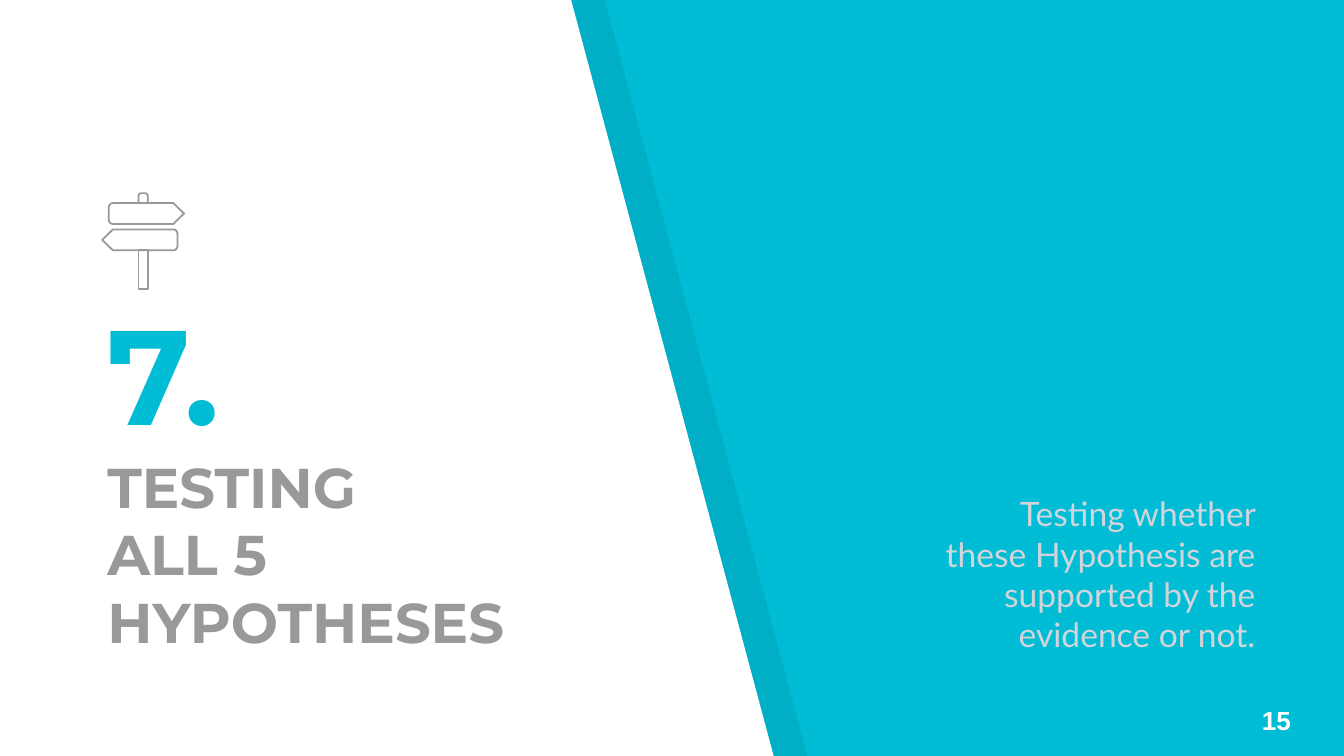
from dataclasses import dataclass
from math import cos, radians, sin

from lxml.etree import SubElement
from pptx import Presentation
from pptx.dml.color import RGBColor as Rgb
from pptx.enum.text import MSO_ANCHOR as Anchor, PP_ALIGN as Align
from pptx.oxml.ns import qn
from pptx.util import Pt

Point = tuple[float, float]


@dataclass(frozen=True)
class Theme:
    cyan: str = "00BCD4"
    white: str = "FFFFFF"
    shade: str = "000000"
    shade_alpha: int = 7
    grey: str = "999999"
    pale: str = "D1D5DB"
    head_font: str = "Montserrat"
    body_font: str = "Lato"
    page_font: str = "Arial"
    number_size: float = 72
    title_size: float = 30
    body_size: float = 18
    page_size: float = 14
    icon_line: float = 0.96


@dataclass(frozen=True)
class Span:
    lines: tuple[str, ...]
    font: str
    size: float
    color: str
    bold: bool = False


@dataclass(frozen=True)
class TextBlock:
    left: float
    top: float
    width: float
    height: float
    spans: tuple[Span, ...]
    inset_y: float = 7.2
    anchor: Anchor = Anchor.BOTTOM
    align: Align = Align.LEFT


@dataclass(frozen=True)
class Outline:
    points: list[Point]
    fill: str | None = None
    alpha: int = 100
    line: str | None = None


THEME = Theme()
WIDTH, HEIGHT = 720, 405

# Slanted panels: the white one, and its shade shifted to the right
BLEED = 1
SHADE_SHIFT = 18
PANEL = [(-BLEED, -BLEED), (-BLEED, HEIGHT + BLEED),
         (414.7, HEIGHT + BLEED), (305.7, -BLEED)]

# Signpost
AXIS = 76.7
POST_HALF = 2.5
CAP_TOP, SIGN_TOP, POST_TOP, POST_BOTTOM = 103.5, 108.8, 134.1, 154.8
SIGN_HEIGHT, SIGN_STEP = 11.2, 14.1
SIGN_BACK, SIGN_SHOULDER, SIGN_TIP = -18.4, 16.2, 21.9
SIGN_RADIUS, CAP_RADIUS = 2.3, 1.6

TEXTS = [
    TextBlock(50.4, 122.4, 277.2, 235.4, (
        Span(("7.", ""), THEME.head_font, THEME.number_size, THEME.cyan, True),
        Span(("TESTING ", "ALL 5 ", "HYPOTHESES"),
             THEME.head_font, THEME.title_size, THEME.grey, True))),
    TextBlock(496.8, 276.5, 182.9, 81.4, (
        Span(("Testing whether these Hypothesis are supported by the evidence or not.",),
             THEME.body_font, THEME.body_size, THEME.pale),), align=Align.RIGHT),
    TextBlock(668.9, 373.7, 61.9, 24.5, (
        Span(("15",), THEME.page_font, THEME.page_size, THEME.white, True),),
        inset_y=3.6, anchor=Anchor.TOP),
]


def arc(x: float, y: float, radius: float, start: int) -> list[Point]:
    """Quarter turn around (x, y), clockwise on the page."""
    angles = [radians(start + step) for step in range(0, 91, 15)]
    return [(x + radius * cos(a), y + radius * sin(a)) for a in angles]


def sign(top: float, direction: int) -> list[Point]:
    """Arrow-shaped board with a rounded back; direction is 1 right, -1 left."""
    bottom, corner = top + SIGN_HEIGHT, SIGN_BACK + SIGN_RADIUS
    points = [(SIGN_SHOULDER, top), (SIGN_TIP, top + SIGN_HEIGHT / 2),
              (SIGN_SHOULDER, bottom)]
    points += arc(corner, bottom - SIGN_RADIUS, SIGN_RADIUS, 90)
    points += arc(corner, top + SIGN_RADIUS, SIGN_RADIUS, 180)
    return [(AXIS + direction * x, y) for x, y in points]


def signpost() -> list[list[Point]]:
    left, right = AXIS - POST_HALF, AXIS + POST_HALF
    shift, cap_y = POST_HALF - CAP_RADIUS, CAP_TOP + CAP_RADIUS
    cap = [(left, SIGN_TOP), *arc(AXIS - shift, cap_y, CAP_RADIUS, 180),
           *arc(AXIS + shift, cap_y, CAP_RADIUS, 270), (right, SIGN_TOP)]
    post = [(left, POST_TOP), (left, POST_BOTTOM),
            (right, POST_BOTTOM), (right, POST_TOP)]
    return [sign(SIGN_TOP, 1), sign(SIGN_TOP + SIGN_STEP, -1), cap, post]


def draw_outline(shapes, outline: Outline) -> None:
    start, *others = [(Pt(x), Pt(y)) for x, y in outline.points]
    builder = shapes.build_freeform(*start)
    builder.add_line_segments(others, close=True)
    shape = builder.convert_to_shape()
    shape.shadow.inherit = False
    if outline.fill:
        shape.fill.solid()
        shape.fill.fore_color.rgb = Rgb.from_string(outline.fill)
    else:
        shape.fill.background()
    if outline.alpha < 100:
        color = shape.fill._xPr.find(".//" + qn("a:srgbClr"))
        SubElement(color, qn("a:alpha"), val=str(outline.alpha * 1000))
    if outline.line:
        shape.line.color.rgb = Rgb.from_string(outline.line)
        shape.line.width = Pt(THEME.icon_line)
    else:
        shape.line.fill.background()


def draw_text(shapes, block: TextBlock) -> None:
    box = shapes.add_textbox(Pt(block.left), Pt(block.top),
                             Pt(block.width), Pt(block.height))
    frame_format = {
        "word_wrap": True, "vertical_anchor": block.anchor,
        "margin_left": Pt(7.2), "margin_right": Pt(7.2),
        "margin_top": Pt(block.inset_y), "margin_bottom": Pt(block.inset_y),
    }
    for name, value in frame_format.items():
        setattr(box.text_frame, name, value)
    para = box.text_frame.paragraphs[0]
    para.alignment = block.align
    for span in block.spans:
        span_format = {"name": span.font, "size": Pt(span.size), "bold": span.bold}
        for index, line in enumerate(span.lines):
            if index:
                para.add_line_break()
            if not line:
                continue
            run = para.add_run()
            run.text = line
            run.font.color.rgb = Rgb.from_string(span.color)
            for name, value in span_format.items():
                setattr(run.font, name, value)


def main() -> None:
    deck = Presentation()
    deck.slide_width, deck.slide_height = Pt(WIDTH), Pt(HEIGHT)
    page = deck.slides.add_slide(deck.slide_layouts[6])

    # Background and panels
    page.background.fill.solid()
    page.background.fill.fore_color.rgb = Rgb.from_string(THEME.cyan)
    shade = [(x + SHADE_SHIFT, y) for x, y in PANEL]
    draw_outline(page.shapes, Outline(shade, THEME.shade, THEME.shade_alpha))
    draw_outline(page.shapes, Outline(PANEL, THEME.white))

    # Title, description and page number
    for block in TEXTS:
        draw_text(page.shapes, block)

    # Signpost icon
    icon = page.shapes.add_group_shape()
    for points in signpost():
        draw_outline(icon.shapes, Outline(points, line=THEME.grey))

    deck.save("out.pptx")


if __name__ == "__main__":
    main()
